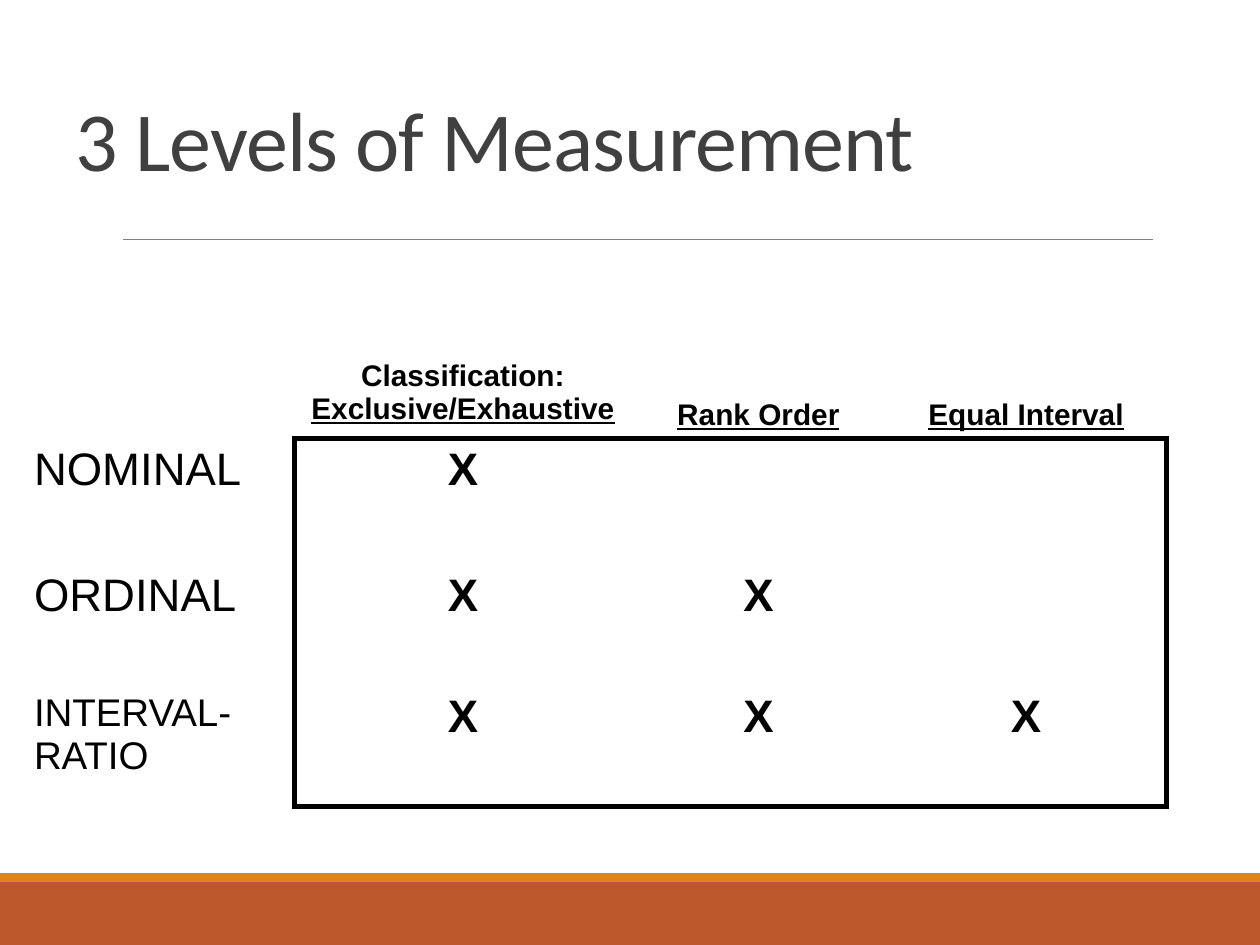
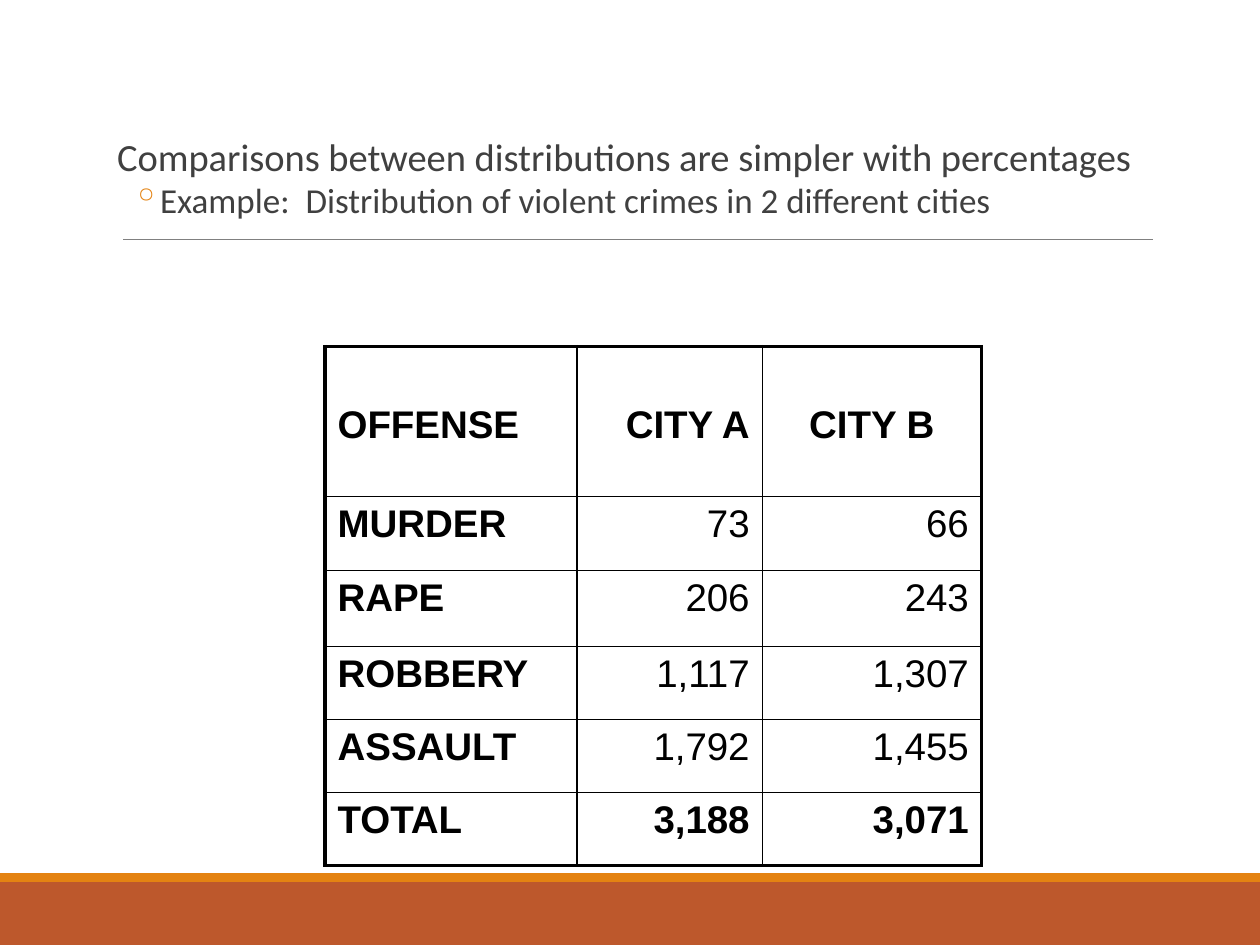
from lxml import etree
from pptx import Presentation
from pptx.dml import color
from pptx.enum import shapes, text
from pptx.oxml import ns
from pptx.util import Inches, Pt

HUES = {"band": "BD582C", "strip": "E48312", "rule": "808080",
        "title": "404040", "ink": "000000"}
ALIGN = {"l": text.PP_ALIGN.LEFT, "c": text.PP_ALIGN.CENTER, "r": text.PP_ALIGN.RIGHT}
TOP, LOW = text.MSO_ANCHOR.TOP, text.MSO_ANCHOR.BOTTOM


def hue(name):
    return color.RGBColor.from_string(HUES[name])


def write(para, words, size=22, font="Arial", ink="ink", bold=False, under=False,
          align="l", track=None):
    para.alignment = ALIGN[align]
    run = para.add_run()
    run.text = words
    face = run.font
    face.name, face.size, face.bold, face.underline = font, Pt(size), bold, under
    face.color.rgb = hue(ink)
    if track:
        run._r.get_or_add_rPr().set("spc", str(track))


def bar(slide, top, high, name):
    rect = slide.shapes.add_shape(shapes.MSO_SHAPE.RECTANGLE, 0, Inches(top),
                                  Inches(10), Inches(high))
    rect.shadow.inherit = False
    rect.fill.solid()
    rect.fill.fore_color.rgb = hue(name)
    rect.line.fill.background()


def rule(slide):
    line = slide.shapes.add_connector(shapes.MSO_CONNECTOR.STRAIGHT, Inches(0.98),
                                      Inches(1.9), Inches(9.15), Inches(1.9))
    line.line.color.rgb = hue("rule")
    line.line.width = Pt(0.5)
    etree.SubElement(line._element.spPr, ns.qn("a:effectLst"))


def start(deck):
    slide = deck.slides.add_slide(deck.slide_layouts[6])
    bar(slide, 7, 0.5, "band")
    bar(slide, 6.93, 0.07, "strip")
    rule(slide)
    return slide


def box(slide, left, top, wide, high, anchor=TOP, inset=0.1):
    frame = slide.shapes.add_textbox(Inches(left), Inches(top), Inches(wide),
                                     Inches(high)).text_frame
    frame.word_wrap = True
    frame.vertical_anchor = anchor
    frame.margin_left = frame.margin_right = Inches(inset)
    return frame


def indent(para, left, hang=0, bullet=None):
    props = para._p.get_or_add_pPr()
    props.set("marL", str(Inches(left)))
    props.set("indent", str(-Inches(hang)))
    if bullet:
        tint = etree.SubElement(props, ns.qn("a:buClr"))
        etree.SubElement(tint, ns.qn("a:srgbClr"), val=HUES["strip"])
        etree.SubElement(props, ns.qn("a:buChar"), char=bullet)


def border(cell, side, width):
    props = cell._tc.get_or_add_tcPr()
    line = etree.SubElement(props, ns.qn("a:ln" + side), w=str(Pt(width)))
    if width:
        fill = etree.SubElement(line, ns.qn("a:solidFill"))
        etree.SubElement(fill, ns.qn("a:srgbClr"), val=HUES["ink"])
    else:
        etree.SubElement(line, ns.qn("a:noFill"))


def grid(slide, left, top, cols, rows, first, outer, inner):
    table = slide.shapes.add_table(len(rows), len(cols), Inches(left), Inches(top),
                                   Inches(sum(cols)), Inches(sum(rows))).table
    table.first_row = table.horz_banding = False
    for col, wide in zip(table.columns, cols):
        col.width = Inches(wide)
    for row, high in zip(table.rows, rows):
        row.height = Inches(high)

    def weight(edge, last, cross):
        if min(edge, cross) < first:
            return 0
        return outer if edge in (first, last) else inner

    for r in range(len(rows)):
        for c in range(len(cols)):
            cell = table.cell(r, c)
            border(cell, "L", weight(c, len(cols), r))
            border(cell, "R", weight(c + 1, len(cols), r))
            border(cell, "T", weight(r, len(rows), c))
            border(cell, "B", weight(r + 1, len(rows), c))
            cell.fill.background()
    return table


def put(table, row, col, words, **form):
    write(table.cell(row, col).text_frame.paragraphs[0], words, **form)


def levels(deck):
    slide = start(deck)
    frame = box(slide, 0.5, 0.13, 8.25, 1.42, LOW)
    title = frame.paragraphs[0]
    title.line_spacing = 0.85
    write(title, "3 Levels of Measurement", size=48, font="Calibri", ink="title",
          track=-50)
    table = grid(slide, 0.17, 2.5, [2.17, 2.67, 2.02, 2.23], [0.98, 1, 0.96, 0.96],
                 1, 3, 0)
    head = dict(size=17, bold=True, align="c")
    put(table, 0, 1, "Classification: ", **head)
    for col, name in enumerate(["Exclusive/Exhaustive", "Rank Order", "Equal Interval"], 1):
        put(table, 0, col, name, under=True, **head)
        table.cell(0, col).vertical_anchor = LOW
    table.cell(0, 1).margin_bottom = Inches(0.1)
    for row, (name, size) in enumerate(
            [("NOMINAL", 26), ("ORDINAL", 26), ("INTERVAL-RATIO", 22)], 1):
        put(table, row, 0, name, size=size)
        for col in range(1, row + 1):
            put(table, row, col, "X", size=26, bold=True, align="c")


def crimes(deck):
    slide = start(deck)
    frame = box(slide, 0.83, 1.08, 8.33, 1.17, inset=0)
    lead, item = frame.paragraphs[0], frame.add_paragraph()
    lead.line_spacing = item.line_spacing = 0.8
    lead.space_after, item.space_before = Pt(2), Pt(2)
    indent(lead, 0.1)
    indent(item, 0.42, 0.2, "◦")
    look = dict(font="Calibri", ink="title")
    write(lead, "Comparisons between distributions are simpler with percentages", **look)
    write(item, "Example:  Distribution of violent crimes in 2 different cities",
          size=20, **look)
    data = [("OFFENSE", "CITY A", "CITY B"), ("MURDER", "73", "66"),
            ("RAPE", "206", "243"), ("ROBBERY", "1,117", "1,307"),
            ("ASSAULT", "1,792", "1,455"), ("TOTAL", "3,188", "3,071")]
    table = grid(slide, 2.58, 2.75, [2, 1.47, 1.74],
                 [1.19, 0.59, 0.6, 0.58, 0.58, 0.58], 0, 2.25, 1)
    for r, row in enumerate(data):
        for c, words in enumerate(row):
            align = "c" if (r, c) == (0, 2) else "lrr"[c]
            put(table, r, c, words, bold=c == 0 or r in (0, 5), align=align)
    for cell in table.rows[0].cells:
        cell.margin_top = Inches(0.45)


def main():
    deck = Presentation()
    deck.slide_width, deck.slide_height = Inches(10), Inches(7.5)
    levels(deck)
    crimes(deck)
    deck.save("out.pptx")


if __name__ == "__main__":
    main()
